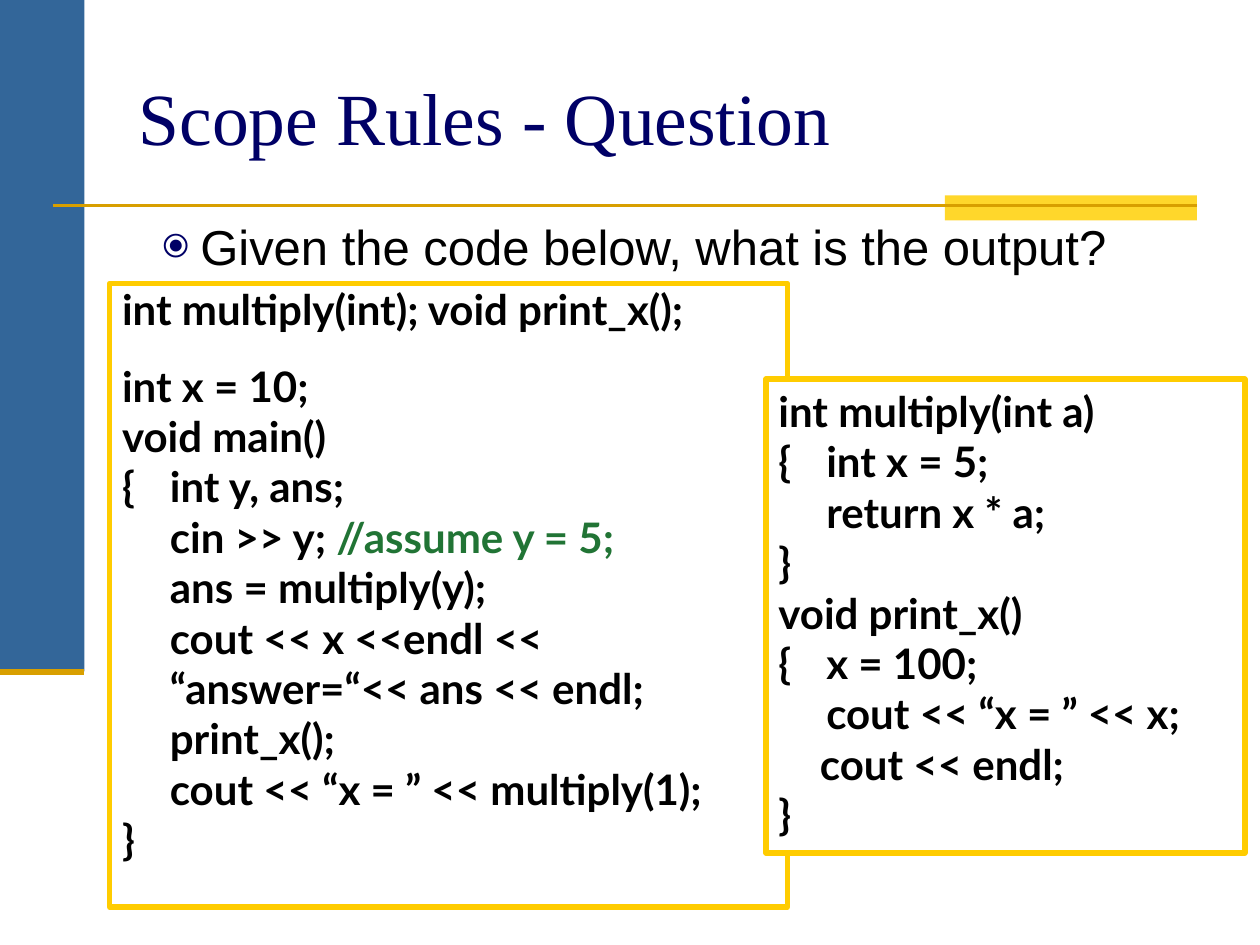
from dataclasses import dataclass

import lxml.etree
import pptx
import pptx.dml.color
import pptx.enum.shapes
import pptx.enum.text
import pptx.oxml.ns
import pptx.util

EMU_PER_PX = 9144  # 100 px to the inch
NAVY, BLUE, GOLD, OCHRE = "000066", "336699", "FFCC00", "D89F00"
YELLOW, GREEN, BLACK, WHITE = "FFD72B", "217435", "000000", "FFFFFF"
HANG = 38


@dataclass
class Rect:
    left: int
    top: int
    width: int
    height: int


@dataclass
class CodeLine:
    code: str
    comment: str = ""
    space_before: int = 0
    margin: int = HANG
    indent: int = -HANG


@dataclass
class CodeBox:
    rect: Rect
    inset_top: int
    lines: list[CodeLine]


MAIN_CODE = CodeBox(Rect(87, 225, 538, 495), 0, [
    CodeLine("int multiply(int); void print_x();"),
    CodeLine("int x = 10;", space_before=15),
    CodeLine("void main()"),
    CodeLine("{\tint y, ans;"),
    CodeLine("\tcin >> y; ", comment="//assume y = 5;"),
    CodeLine("\tans = multiply(y);"),
    CodeLine("\tcout << x <<endl << “answer=“<< ans << endl;"),
    CodeLine("\tprint_x();"),
    CodeLine("\tcout << “x = ” << multiply(1);"),
    CodeLine("}"),
])
FUNCTION_CODE = CodeBox(Rect(608, 301, 380, 376), 5, [
    CodeLine("int multiply(int a)"),
    CodeLine("{\tint x = 5;"),
    CodeLine("\treturn x * a;"),
    CodeLine("}"),
    CodeLine("void print_x()"),
    CodeLine("{\tx = 100;"),
    CodeLine("\tcout << “x = ” << x;"),
    CodeLine("cout << endl;", margin=33, indent=0),
    CodeLine("}"),
])


def px(length: int) -> pptx.util.Emu:
    return pptx.util.Emu(length * EMU_PER_PX)


def color(hex_code: str) -> pptx.dml.color.RGBColor:
    return pptx.dml.color.RGBColor.from_string(hex_code)


def place(shape, rect: Rect) -> None:
    shape.left, shape.top = px(rect.left), px(rect.top)
    shape.width, shape.height = px(rect.width), px(rect.height)


def add_run(para, text: str, font: str, size: int, hex_code: str, bold: bool = False) -> None:
    span = para.add_run()
    span.text = text
    span.font.name, span.font.size, span.font.bold = font, pptx.util.Pt(size), bold
    span.font.color.rgb = color(hex_code)


def set_indent(para, margin: int, indent: int) -> None:
    properties = para._p.get_or_add_pPr()
    properties.set("marL", str(px(margin)))
    properties.set("indent", str(px(indent)))


def set_bullet(para, character: str, hex_code: str, percent: int) -> None:
    properties = para._p.get_or_add_pPr()

    def add(parent, tag: str, **attributes: str):
        return lxml.etree.SubElement(parent, pptx.oxml.ns.qn(tag), **attributes)

    add(add(properties, "a:buClr"), "a:srgbClr", val=hex_code)
    add(properties, "a:buSzPct", val=str(percent * 1000))
    add(properties, "a:buChar", char=character)


def add_rect(slide, rect: Rect, fill: str):
    shape = slide.shapes.add_shape(pptx.enum.shapes.MSO_SHAPE.RECTANGLE, 0, 0, 0, 0)
    place(shape, rect)
    shape.shadow.inherit = False
    shape.fill.solid()
    shape.fill.fore_color.rgb = color(fill)
    shape.line.fill.background()
    return shape


def add_rule(slide, left: int, right: int, y: int, weight: float) -> None:
    rule = slide.shapes.add_connector(
        pptx.enum.shapes.MSO_CONNECTOR.STRAIGHT, px(left), px(y), px(right), px(y))
    rule.line.color.rgb = color(OCHRE)
    rule.line.width = pptx.util.Pt(weight)
    lxml.etree.SubElement(rule._element.spPr, pptx.oxml.ns.qn("a:effectLst"))


def add_code_box(slide, code_box: CodeBox) -> None:
    box = add_rect(slide, code_box.rect, WHITE)
    box.line.color.rgb = color(GOLD)
    box.line.width = pptx.util.Pt(3.15)
    frame = box.text_frame
    frame.word_wrap = True
    frame.vertical_anchor = pptx.enum.text.MSO_ANCHOR.TOP
    frame.margin_top = frame.margin_bottom = px(code_box.inset_top)
    for number, line in enumerate(code_box.lines):
        para = frame.add_paragraph() if number else frame.paragraphs[0]
        para.alignment = pptx.enum.text.PP_ALIGN.LEFT
        para.space_before = pptx.util.Pt(line.space_before)
        set_indent(para, line.margin, line.indent)
        add_run(para, line.code, "Lato", 24, BLACK, bold=True)
        if line.comment:
            add_run(para, line.comment, "Lato", 24, GREEN, bold=True)


def fill_placeholder(shape, rect: Rect, anchor, text: str, font: str, size: int, hex_code: str):
    place(shape, rect)
    frame = shape.text_frame
    frame.word_wrap = True
    frame.auto_size = pptx.enum.text.MSO_AUTO_SIZE.NONE
    frame.vertical_anchor = anchor
    para = frame.paragraphs[0]
    para.alignment = pptx.enum.text.PP_ALIGN.LEFT
    add_run(para, text, font, size, hex_code)
    return para


def main() -> None:
    deck = pptx.Presentation()
    deck.slide_width, deck.slide_height = px(1000), px(750)
    slide = deck.slides.add_slide(deck.slide_layouts[1])
    anchors = pptx.enum.text.MSO_ANCHOR

    add_rect(slide, Rect(0, 0, 67, 533), BLUE)
    add_rect(slide, Rect(750, 155, 200, 20), YELLOW)
    add_rule(slide, 42, 950, 163, 1.5)
    add_rule(slide, 0, 67, 533, 3.5)

    fill_placeholder(slide.shapes.title, Rect(100, 30, 850, 125), anchors.MIDDLE,
                     "Scope Rules - Question", "Times New Roman", 42, NAVY)
    question = fill_placeholder(slide.placeholders[1], Rect(119, 167, 836, 468), anchors.TOP,
                                "Given the code below, what is the output?", "Arial", 28, BLACK)
    question.space_before = pptx.util.Pt(3)
    set_indent(question, 30, -30)
    set_bullet(question, "⦿", NAVY, 67)

    for code_box in (MAIN_CODE, FUNCTION_CODE):
        add_code_box(slide, code_box)
    deck.save("out.pptx")


if __name__ == "__main__":
    main()
